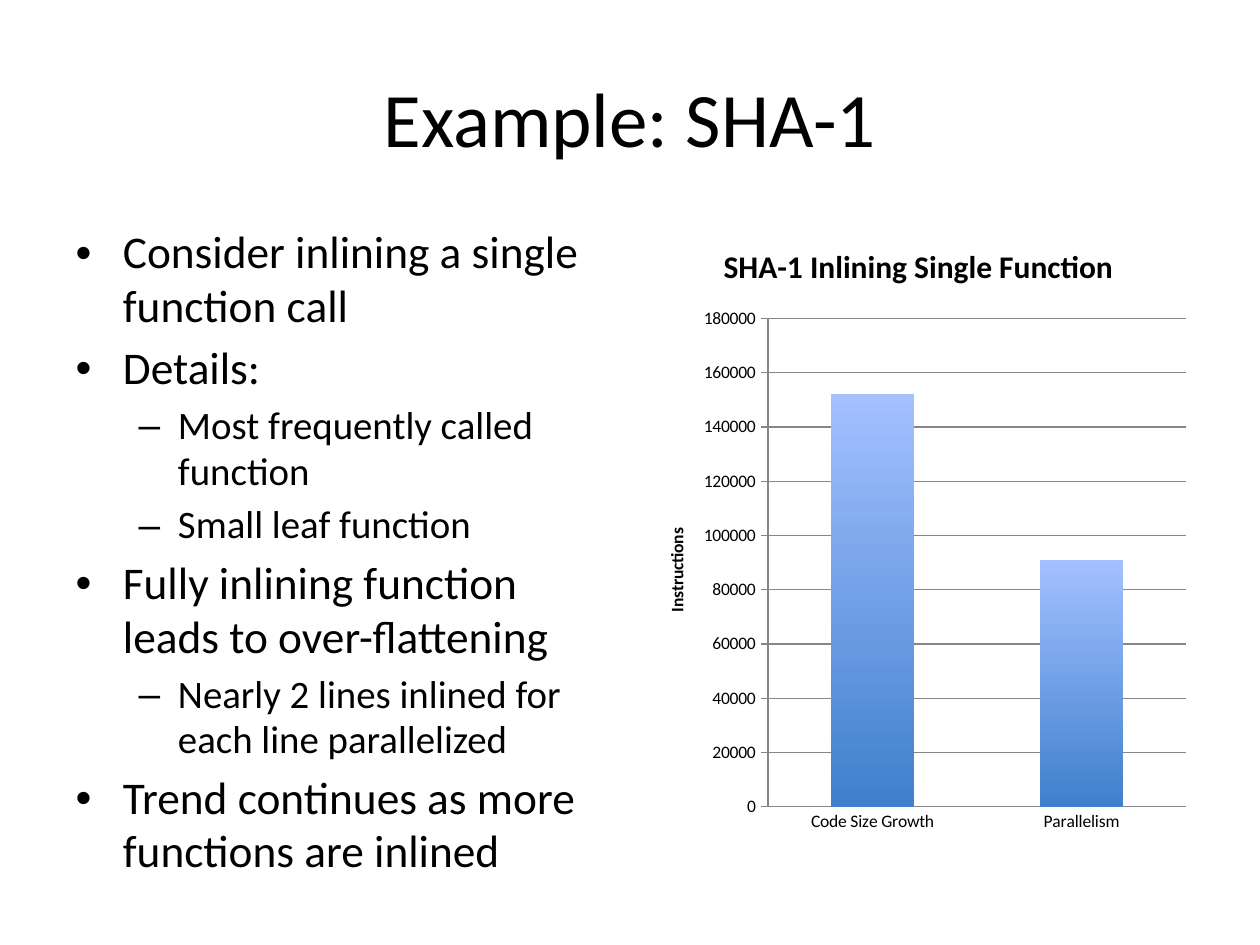
from pptx import Presentation
from pptx.chart.data import CategoryChartData
from pptx.dml.color import RGBColor
from pptx.enum.chart import XL_CHART_TYPE, XL_TICK_MARK
from pptx.enum.text import MSO_ANCHOR, MSO_AUTO_SIZE, PP_ALIGN
from pptx.util import Inches, Pt

COLUMN = XL_CHART_TYPE.COLUMN_CLUSTERED
NO_TICK, OUT_TICK = XL_TICK_MARK.NONE, XL_TICK_MARK.OUTSIDE
MIDDLE, CENTER, NO_FIT = MSO_ANCHOR.MIDDLE, PP_ALIGN.CENTER, MSO_AUTO_SIZE.NONE
SCALE = Inches(1) / 126
COLORS = {"text": "000000", "grid": "868686", "low": "3F80CD", "high": "A3C0FF"}
SIZES = (25.9, 22.2)
POINTS = [
    (0, "Consider inlining a single function call"),
    (0, "Details:"),
    (1, "Most frequently called function"),
    (1, "Small leaf function"),
    (0, "Fully inlining function leads to over-flattening"),
    (1, "Nearly 2 lines inlined for each line parallelized"),
    (0, "Trend continues as more functions are inlined"),
]
COUNTS = {"Code Size Growth": 152000, "Parallelism": 91000}


def px(count):
    """Turn pixels into EMU."""
    return round(count * SCALE)


def color(name):
    """Look up a named colour."""
    return RGBColor.from_string(COLORS[name])


def style(font, size, bold=False, face="Calibri", tint="text"):
    """Format one font."""
    font.name, font.size, font.bold = face, Pt(size), bold
    font.color.rgb = color(tint)


def write(para, text, align=None, level=0, gap=None, **look):
    """Write one formatted paragraph."""
    run = para.add_run()
    run.text = text
    para.level = level
    if align is not None:
        para.alignment = align
    if gap is not None:
        para.line_spacing = gap
    style(run.font, **look)


class Page:
    """Holds the current slide and builds its elements."""

    def __init__(self, deck):
        """Add a slide with a title and a body."""
        self.slide = deck.slides.add_slide(deck.slide_layouts[1])

    def place(self, shape, box):
        """Move a placeholder and return its text frame."""
        shape.left, shape.top, shape.width, shape.height = map(px, box)
        frame = shape.text_frame
        frame.word_wrap, frame.auto_size = True, NO_FIT
        return frame

    def title(self, text, box):
        """Fill the title."""
        frame = self.place(self.slide.shapes.title, box)
        frame.vertical_anchor = MIDDLE
        write(frame.paragraphs[0], text, align=CENTER, size=44)

    def bullets(self, items, box):
        """Fill the body with a two-level list."""
        frame = self.place(self.slide.placeholders[1], box)
        for index, (level, text) in enumerate(items):
            para = frame.add_paragraph() if index else frame.paragraphs[0]
            write(para, text, level=level, size=SIZES[level], gap=0.98)

    def columns(self, title, unit, counts, box):
        """Add a column chart with gradient bars."""
        data = CategoryChartData()
        data.categories = list(counts)
        data.add_series("Series 1", list(counts.values()))
        chart = self.slide.shapes.add_chart(COLUMN, *map(px, box), data).chart
        style(chart.font, 10)
        chart.has_legend = False
        write(chart.chart_title.text_frame.paragraphs[0], title, size=18, bold=True)
        cats, vals = chart.category_axis, chart.value_axis
        write(vals.axis_title.text_frame.paragraphs[0], unit, size=10, bold=True)
        cats.major_tick_mark, vals.major_tick_mark = NO_TICK, OUT_TICK
        vals.minimum_scale, vals.maximum_scale, vals.major_unit = 0, 180000, 20000
        vals.has_major_gridlines = True
        for part in (cats, vals, vals.major_gridlines):
            part.format.line.color.rgb = color("grid")
            part.format.line.width = Pt(0.75)
        plot = chart.plots[0]
        plot.gap_width, plot.vary_by_categories = 150, False
        fill = plot.series[0].format.fill
        fill.gradient()
        fill.gradient_angle = 90
        for stop, name in zip(fill.gradient_stops, ("low", "high")):
            stop.color.rgb = color(name)


def main():
    """Build and save the slide."""
    deck = Presentation()
    deck.slide_width, deck.slide_height = px(1260), px(945)
    page = Page(deck)
    page.title("Example: SHA-1", (63, 38, 1134, 157))
    page.bullets(POINTS, (63, 220, 557, 624))
    page.columns("SHA-1 Inlining Single Function", "Instructions", COUNTS,
                 (640, 220, 557, 624))
    deck.save("out.pptx")


main()
